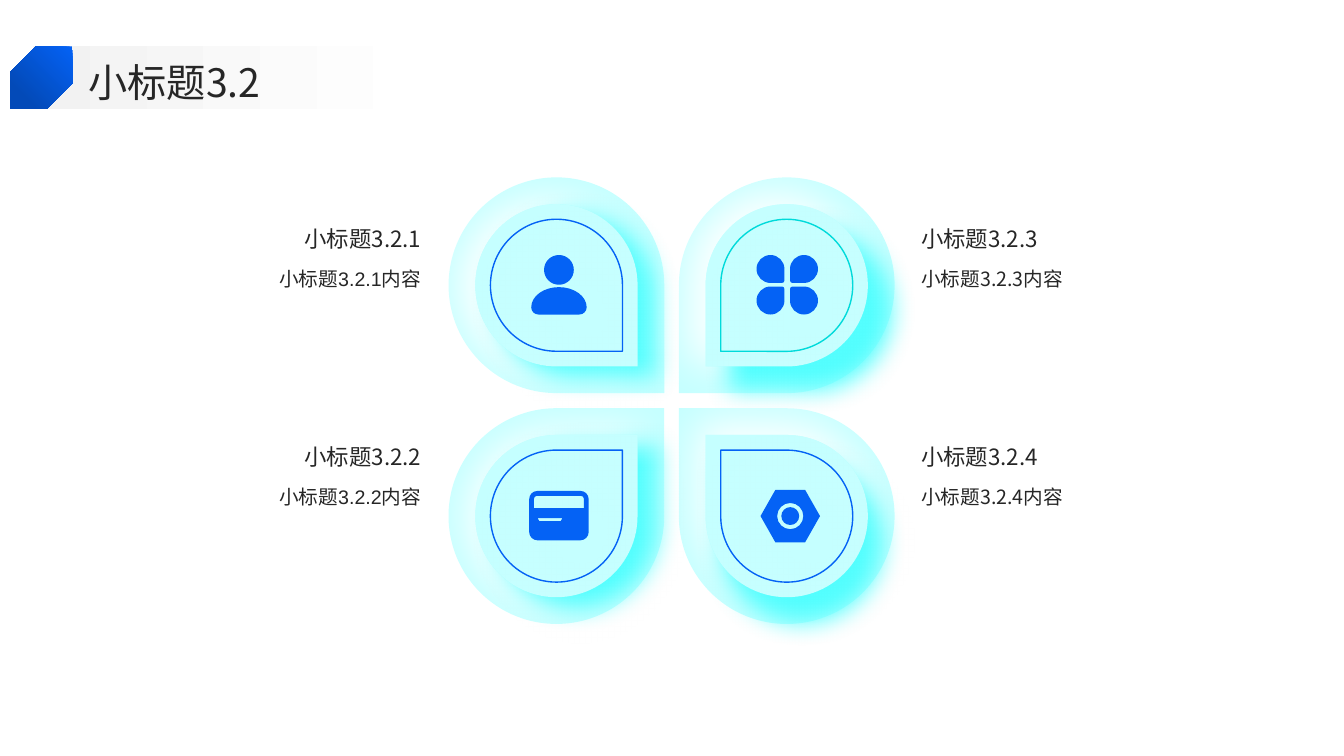
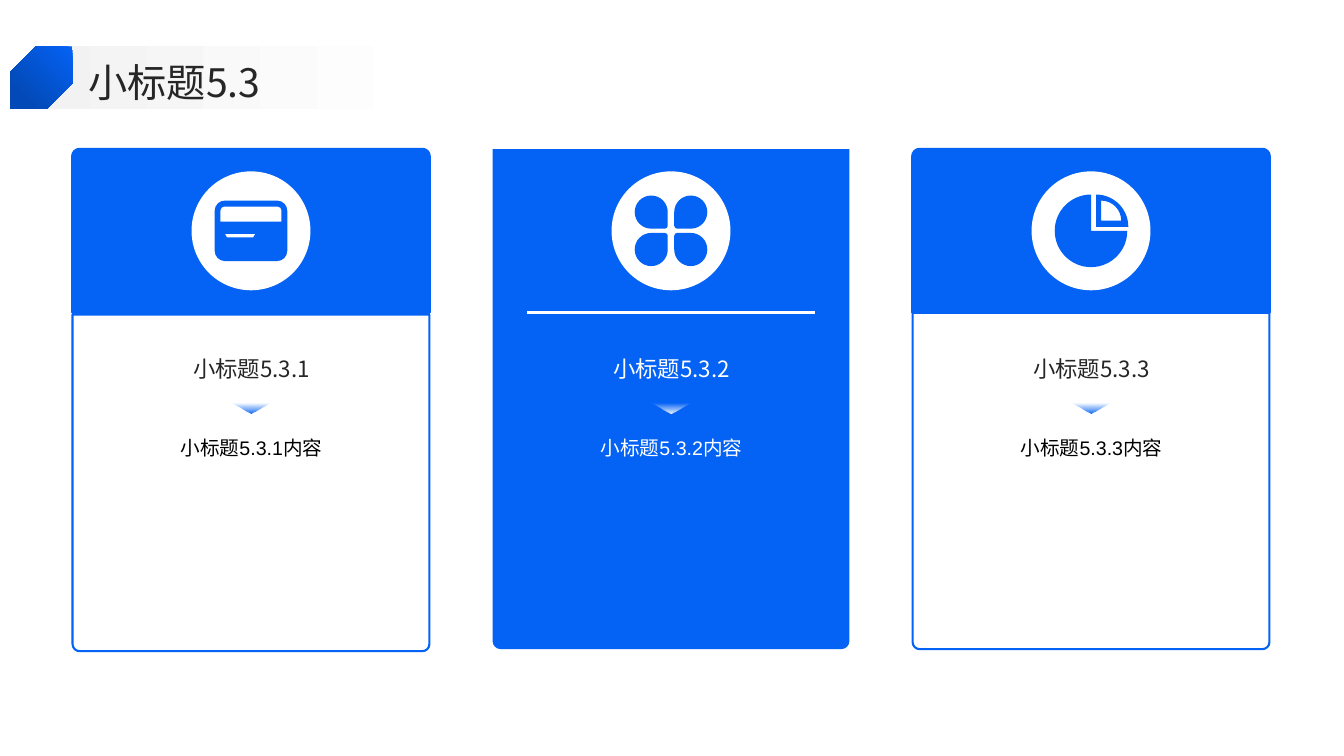
import math

from lxml import etree
from pptx import Presentation
from pptx import util as u
from pptx.dml import color as dml
from pptx.enum import shapes, text
from pptx.oxml import ns

BLUE = "0462F5"
DEEP_BLUE = "034AB8"
CYAN = "C5FFFF"
GLOW = "50FFFF"
TEAL = "00DADA"
INK = "262626"
WHITE = "FFFFFF"
BLACK = "000000"
GREY = "F2F2F2"
CJK = "Noto Sans CJK SC"
LATIN = "Arial"
KIND = shapes.MSO_SHAPE
ALIGN = text.PP_ALIGN
ANCHOR = text.MSO_ANCHOR


def colour(value):
    return dml.RGBColor.from_string(value)


def child(parent, tag, **attributes):
    return etree.SubElement(parent, ns.qn(tag), {k: str(v) for k, v in attributes.items()})


def inches(*lengths):
    return [u.Inches(length) for length in lengths]


def paint(shape, fill=None, line=None, width=1):
    shape.shadow.inherit = False
    if fill:
        shape.fill.solid()
        shape.fill.fore_color.rgb = colour(fill)
    else:
        shape.fill.background()
    if line:
        shape.line.color.rgb = colour(line)
        shape.line.width = u.Pt(width)
    else:
        shape.line.fill.background()
    return shape


def add_preset(page, kind, box, fill=None, line=None, rotation=0):
    shape = page.shapes.add_shape(kind, *inches(*box))
    shape.rotation = rotation
    return paint(shape, fill, line)


def add_gradient(shape, first, last, end, angle):
    shape.fill.gradient()
    shape.fill.gradient_angle = angle
    for stop, value, position in zip(shape.fill.gradient_stops, (first, last), (0, end)):
        stop.color.rgb = colour(value)
        stop.position = position


def add_shadow(shape, value, blur, distance, angle, scale=100):
    effects = shape.element.spPr.find(ns.qn("a:effectLst"))
    shadow = child(effects, "a:outerShdw", blurRad=u.Pt(blur), dist=u.Pt(distance),
                   dir=angle * 60000, sx=scale * 1000, sy=scale * 1000,
                   algn="ctr", rotWithShape=0)
    child(shadow, "a:srgbClr", val=value)


def write(frame, words, size, ink, font=CJK, align=ALIGN.LEFT, anchor=ANCHOR.TOP, spacing=1.5):
    frame.word_wrap = True
    frame.auto_size = text.MSO_AUTO_SIZE.NONE
    frame.margin_left = frame.margin_top = frame.margin_right = frame.margin_bottom = 0
    frame.vertical_anchor = anchor
    para = frame.paragraphs[0]
    para.alignment = align
    para.line_spacing = spacing
    span = para.add_run()
    span.text = words
    span.font.size = u.Pt(size)
    span.font.color.rgb = colour(ink)
    span.font.name = font
    child(span.font._element, "a:ea", typeface=CJK)


def add_text(page, box, *content, **style):
    write(page.shapes.add_textbox(*inches(*box)).text_frame, *content, **style)


def arc(x, y, rx, ry, start, end):
    reach = 4 / 3 * math.tan(math.radians(90) / 4)
    steps = [(x + rx * math.cos(math.radians(start)), y + ry * math.sin(math.radians(start)))]
    for angle in range(start, end, 90):
        a, b = math.radians(angle), math.radians(angle + 90)
        steps.append((x + rx * (math.cos(a) - reach * math.sin(a)),
                      y + ry * (math.sin(a) + reach * math.cos(a)),
                      x + rx * (math.cos(b) + reach * math.sin(b)),
                      y + ry * (math.sin(b) - reach * math.cos(b)),
                      x + rx * math.cos(b), y + ry * math.sin(b)))
    return steps


def circle(x, y, radius):
    return arc(x, y, radius, radius, 0, 360)


def rounded(x, y, w, h, radii):
    corners = zip(radii, ((0, 0), (1, 0), (1, 1), (0, 1)), (180, 270, 0, 90))
    steps = []
    for r, (right, low), start in corners:
        cx = x + w - r if right else x + r
        cy = y + h - r if low else y + r
        steps += arc(cx, cy, r, r, start, start + 90) if r else [(cx, cy)]
    return steps


def add_outline(page, contours, fill, line=None, width=1):
    contours = [[inches(*step) for step in contour] for contour in contours]
    builder = page.shapes.build_freeform(*contours[0][0], scale=1.0)
    for index, contour in enumerate(contours):
        if index:
            builder.move_to(*contour[0])
        builder.add_line_segments([step[-2:] for step in contour[1:]], close=True)
    shape = builder.convert_to_shape()
    nodes = shape.element.xpath(".//a:moveTo | .//a:lnTo")
    for node, step in zip(nodes, sum(contours, [])):
        if len(step) == 6:
            curve = child(node.getparent(), "a:cubicBezTo")
            for x, y in zip(step[::2], step[1::2]):
                child(curve, "a:pt", x=x - shape.left, y=y - shape.top)
            node.getparent().replace(node, curve)
    return paint(shape, fill, line, width)


def person_icon(x, y, w, h):
    middle, r = x + w / 2, 0.13 * w
    body = arc(middle, y + 0.88 * h, w / 2, 0.34 * h, 180, 360)
    body += arc(x + w - r, y + h - r, r, r, 0, 90) + arc(x + r, y + h - r, r, r, 90, 180)
    return [body, circle(middle, y + 0.25 * h, 0.25 * h)]


def clover_icon(x, y, w, h):
    pw, ph = 0.455 * w, 0.47 * h
    petals = []
    for index, (right, low) in enumerate(((0, 0), (1, 0), (1, 1), (0, 1))):
        radii = [min(pw, ph) / 2] * 4
        radii[(index + 2) % 4] = 0.04 * w
        petals.append(rounded(x + right * (w - pw), y + low * (h - ph), pw, ph, radii))
    return petals


def window_icon(x, y, w, h):
    bar = rounded(x + 0.08 * w, y + 0.1 * h, 0.84 * w, 0.25 * h, [0.05 * w, 0.05 * w, 0, 0])
    slit = [(x + a * w, y + b * h)
            for a, b in ((0.14, 0.55), (0.56, 0.55), (0.53, 0.61), (0.17, 0.61))]
    return [rounded(x, y, w, h, [0.14 * w] * 4), bar, slit]


def nut_icon(x, y, w, h):
    corners = ((0, 0.5), (0.25, 0), (0.75, 0), (1, 0.5), (0.75, 1), (0.25, 1))
    hexagon = [(x + a * w, y + b * h) for a, b in corners]
    cx, cy = x + w / 2, y + h / 2
    return [hexagon, circle(cx, cy, 0.22 * w), circle(cx, cy, 0.15 * w)]


def pie_icon(x, y, w, h):
    cx, cy, r = x + w / 2, y + h / 2, w / 2

    def sector(left, low, radius, start, end):
        return [(left, low)] + arc(left, low, radius, radius, start, end)

    return [sector(cx, cy, r, 0, 270),
            sector(cx + 0.05, cy - 0.04, 0.32, 270, 360),
            sector(cx + 0.1, cy - 0.1, 0.2, 270, 360)]


def add_page(deck, title):
    page = deck.slides.add_slide(deck.slide_layouts[5])
    band = add_preset(page, KIND.RECTANGLE, (0.33, 0.46, 4.92, 0.62))
    add_gradient(band, GREY, WHITE, 0.8, 0)
    marker = add_preset(page, KIND.SNIP_2_DIAG_RECTANGLE, (0.1, 0.46, 0.62, 0.62))
    marker.adjustments[0] = 0.41
    marker.adjustments[1] = 0
    add_gradient(marker, BLUE, DEEP_BLUE, 0.8, 225)
    heading = page.shapes.title
    heading.left, heading.top, heading.width, heading.height = inches(0.88, 0.53, 11.88, 0.51)
    write(heading.text_frame, title, 28, INK, anchor=ANCHOR.MIDDLE, spacing=1.1)
    marker.element.addnext(heading.element)
    return page


def add_petal(page, left, top, rotation, rim, icon, icon_box, distance, angle):
    def drop(inset, **style):
        size = 2.14 - 2 * inset
        return add_preset(page, KIND.TEAR, (left + inset, top + inset, size, size),
                          rotation=rotation, **style)

    drop(0, fill=CYAN)
    add_shadow(drop(0.265, fill=CYAN), WHITE, 32, 3, 180, 105)
    add_shadow(drop(0.265, fill=CYAN), GLOW, 18, distance, angle)
    add_shadow(drop(0.415, line=rim), WHITE, 34, 24, 45)
    dx, dy, w, h = icon_box
    add_outline(page, icon(left + dx, top + dy, w, h), BLUE)


def add_caption(page, left, top, label, font, align):
    add_text(page, (left, top, 3.16, 0.31), label, 16, INK, align=align, anchor=ANCHOR.BOTTOM)
    add_text(page, (left, top + 0.34, 3.16, 1.54), label + "内容", 14, INK, font=font, align=align)


def add_petal_page(deck):
    page = add_page(deck, "小标题3.2")
    petals = (
        (0, 0, 90, BLUE, person_icon, (0.82, 0.77, 0.55, 0.59), 15, 30),
        (1, 0, 180, TEAL, clover_icon, (0.77, 0.77, 0.61, 0.59), 24, 45),
        (1, 1, 270, BLUE, nut_icon, (0.81, 0.81, 0.59, 0.52), 21, 60),
        (0, 1, 0, BLUE, window_icon, (0.8, 0.82, 0.59, 0.49), 16, 30),
    )
    for column, row, *look in petals:
        add_petal(page, 4.45 + 2.285 * column, 1.76 + 2.29 * row, *look)
    sides = ((1.02, LATIN, ALIGN.RIGHT), (9.14, CJK, ALIGN.LEFT))
    for column, (left, font, align) in enumerate(sides):
        for row in range(2):
            number = 2 * column + row + 1
            add_caption(page, left, 2.19 + 2.16 * row, f"小标题3.2.{number}", font, align)


def add_card(page, left, top, label, icon, icon_size, solid=False, gap=0):
    width, head, body = 3.54, 1.62, 3.34
    middle = left + width / 2
    if solid:
        add_outline(page, [rounded(left, top, width, head + body, (0, 0, 0.08, 0.08))], BLUE)
        line = page.shapes.add_connector(
            shapes.MSO_CONNECTOR.STRAIGHT,
            *inches(middle - 1.43, top + head, middle + 1.43, top + head))
        line.line.color.rgb = colour(WHITE)
        line.line.width = u.Pt(1.5)
        child(line.element.spPr, "a:effectLst")
    else:
        add_outline(page, [rounded(left, top + head + gap, width, body, (0, 0, 0.07, 0.07))],
                    WHITE, BLUE, 1.5)
        add_outline(page, [rounded(left, top, width, head, (0.07, 0.07, 0, 0))], BLUE, BLUE, 2)
    add_preset(page, KIND.OVAL, (middle - 0.59, top + 0.22, 1.18, 1.18), WHITE)
    w, h = icon_size
    add_outline(page, icon(middle - w / 2, top + 0.81 - h / 2, w, h), BLUE)
    accent = WHITE if solid else BLUE
    arrow = add_preset(page, KIND.ISOSCELES_TRIANGLE, (middle - 0.18, top + 2.52, 0.36, 0.1),
                       rotation=180)
    add_gradient(arrow, accent, accent, 1, 270)
    child(arrow.element.xpath(".//a:gs/a:srgbClr")[1], "a:alpha", val=0)
    add_text(page, (left + 0.2, top + 1.87, 3.15, 0.54), label, 16, WHITE if solid else INK,
             align=ALIGN.CENTER, anchor=ANCHOR.MIDDLE, spacing=1.3)
    add_text(page, (left + 0.2, top + 2.73, 3.15, 2.1), label + "内容", 14,
             WHITE if solid else BLACK, font=LATIN, align=ALIGN.CENTER)


def add_card_page(deck):
    page = add_page(deck, "小标题5.3")
    cards = (
        (window_icon, (0.72, 0.6), False, 0.02),
        (clover_icon, (0.72, 0.7), True, 0),
        (pie_icon, (0.72, 0.72), False, 0),
    )
    for index, look in enumerate(cards):
        add_card(page, 0.72 + 4.167 * index, 1.48, f"小标题5.3.{index + 1}", *look)


def main():
    deck = Presentation()
    deck.slide_width, deck.slide_height = inches(40 / 3, 7.5)
    add_petal_page(deck)
    add_card_page(deck)
    deck.save("out.pptx")


if __name__ == "__main__":
    main()
